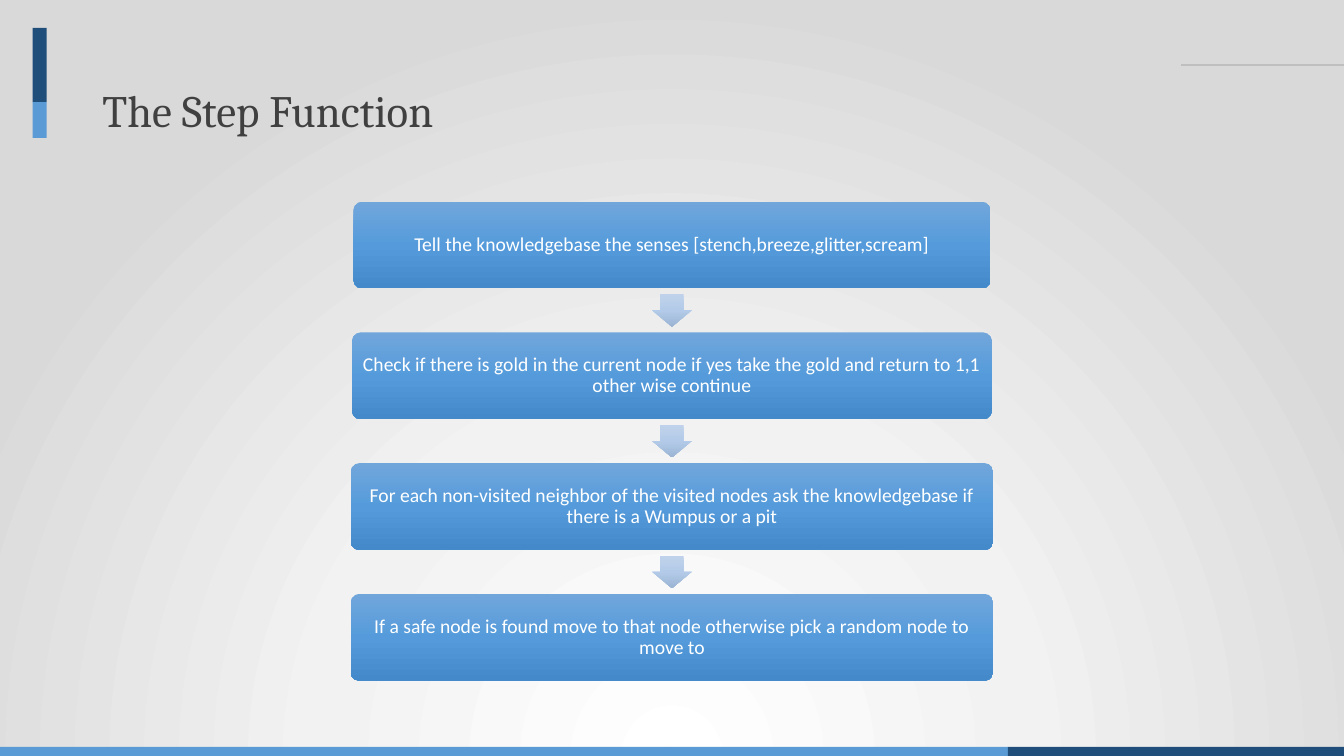
from lxml import etree
from pptx import Presentation
from pptx.dml.color import RGBColor
from pptx.enum.shapes import MSO_CONNECTOR, MSO_SHAPE
from pptx.enum.text import MSO_ANCHOR, MSO_AUTO_SIZE, PP_ALIGN
from pptx.oxml.ns import qn
from pptx.util import Pt

BLUE, NAVY = "5B9BD5", "1E4E79"
BOX_STOPS = [(0, "71A6DB"), (50, "559BDB"), (100, "448ACA")]
ARROW_STOPS = [(0, "C0D2EB"), (50, "B3CBE9"), (100, "9BB4D3")]
BACKGROUND_STOPS = [(0, "FFFFFF"), (46, "F2F2F2"), (100, "D9D9D9")]

STEPS = [
    (455, "Tell the knowledgebase the senses [stench,breeze,glitter,scream]"),
    (457, "Check if there is gold in the current node if yes take the gold "
          "and return to 1,1 other wise continue"),
    (459, "For each non-visited neighbor of the visited nodes ask the "
          "knowledgebase if there is a Wumpus or a pit"),
    (459, "If a safe node is found move to that node otherwise pick a random "
          "node to move to"),
]
CENTER, FIRST_TOP, PITCH, BOX_HEIGHT = 480, 144, 93.4, 62
ARROW_WIDTH, ARROW_HEIGHT = 28, 23.3


def rgb(color):
    return RGBColor.from_string(color)


def set_gradient(fill, element, stops, radial=False):
    """Fill with stops from top to bottom, or in circles from below the slide."""
    fill.gradient()
    grad = element.find(".//" + qn("a:gradFill"))
    for child in list(grad):
        grad.remove(child)
    stop_list = etree.SubElement(grad, qn("a:gsLst"))
    for percent, color in stops:
        stop = etree.SubElement(stop_list, qn("a:gs"), pos=str(percent * 1000))
        etree.SubElement(stop, qn("a:srgbClr"), val=color)
    if radial:
        circle = etree.SubElement(grad, qn("a:path"), path="circle")
        etree.SubElement(circle, qn("a:fillToRect"),
                         l="50000", t="130000", r="50000", b="-30000")
    else:
        etree.SubElement(grad, qn("a:lin"), ang="5400000", scaled="0")


def add_shape(s, kind, left, top, width, height):
    sp = s.shapes.add_shape(kind, Pt(left), Pt(top), Pt(width), Pt(height))
    sp.shadow.inherit = False
    sp.line.fill.background()
    return sp


def add_bar(s, left, top, width, height, color):
    sp = add_shape(s, MSO_SHAPE.RECTANGLE, left, top, width, height)
    sp.fill.solid()
    sp.fill.fore_color.rgb = rgb(color)


def add_rule(s, x1, x2, y):
    line = s.shapes.add_connector(MSO_CONNECTOR.STRAIGHT, Pt(x1), Pt(y), Pt(x2), Pt(y))
    line.line.color.rgb = rgb("BFBFBF")
    line.line.width = Pt(1.75)
    etree.SubElement(line._element.spPr, qn("a:effectLst"))


def format_paragraph(p, font, size, color, align):
    p.alignment = align
    p.line_spacing = 0.9
    p.font.name = font
    p.font.size = Pt(size)
    p.font.color.rgb = rgb(color)


def set_title(s, text):
    title = s.shapes.title
    title.left, title.top, title.width, title.height = Pt(66), Pt(29), Pt(828), Pt(104)
    tf = title.text_frame
    tf.text = text
    tf.auto_size = MSO_AUTO_SIZE.NONE
    tf.vertical_anchor = MSO_ANCHOR.MIDDLE
    format_paragraph(tf.paragraphs[0], "Cambria", 32, "404040", PP_ALIGN.LEFT)


def add_step(s, top, width, text):
    sp = add_shape(s, MSO_SHAPE.ROUNDED_RECTANGLE, CENTER - width / 2, top,
                   width, BOX_HEIGHT)
    sp.adjustments[0] = 0.1
    set_gradient(sp.fill, sp._element, BOX_STOPS)
    tf = sp.text_frame
    tf.text = text
    tf.word_wrap = True
    tf.vertical_anchor = MSO_ANCHOR.MIDDLE
    tf.margin_left = tf.margin_right = tf.margin_top = tf.margin_bottom = Pt(4.3)
    format_paragraph(tf.paragraphs[0], "Calibri", 14, "FFFFFF", PP_ALIGN.CENTER)


def add_arrow(s, top):
    sp = add_shape(s, MSO_SHAPE.DOWN_ARROW, CENTER - ARROW_WIDTH / 2, top,
                   ARROW_WIDTH, ARROW_HEIGHT)
    sp.adjustments[0], sp.adjustments[1] = 0.6, 0.5
    set_gradient(sp.fill, sp._element, ARROW_STOPS)


def main():
    prs = Presentation()
    prs.slide_width, prs.slide_height = Pt(960), Pt(540)
    s = prs.slides.add_slide(prs.slide_layouts[5])
    set_gradient(s.background.fill, s._element, BACKGROUND_STOPS, radial=True)

    add_bar(s, 23.3, 20, 10, 53, NAVY)
    add_bar(s, 23.3, 73, 10, 25.5, BLUE)
    for i, color in enumerate([BLUE, BLUE, BLUE, NAVY]):
        add_bar(s, i * 240, 533.5, 240, 6.5, color)
    add_rule(s, 843.7, 960, 46.5)
    set_title(s, "The Step Function")

    gap = (PITCH - BOX_HEIGHT - ARROW_HEIGHT) / 2
    for i, (width, text) in enumerate(STEPS):
        top = FIRST_TOP + i * PITCH
        if i:
            add_arrow(s, top - gap - ARROW_HEIGHT)
        add_step(s, top, width, text)

    prs.save("out.pptx")


if __name__ == "__main__":
    main()
